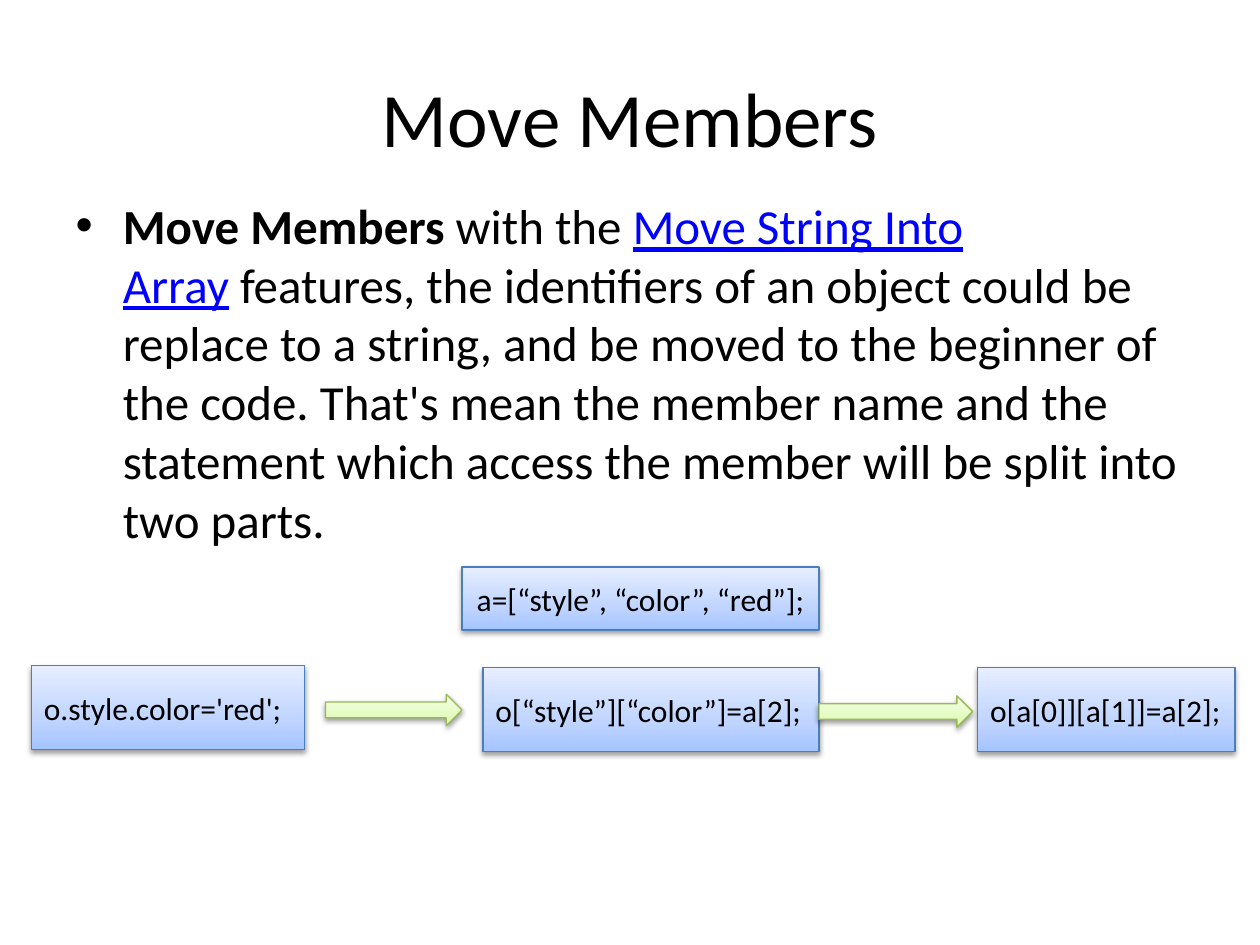
from copy import deepcopy
from dataclasses import dataclass
from typing import Optional

from lxml import etree
from pptx import Presentation
from pptx.dml.color import RGBColor
from pptx.enum import shapes, text
from pptx.oxml import ns
from pptx.util import Pt


@dataclass(frozen=True)
class Look:
    stops: tuple[str, str, str]
    outline: str


@dataclass(frozen=True)
class Theme:
    font: str = "Calibri"
    ink: str = "000000"
    link: str = "0000FF"
    title_size: float = 44
    body_size: float = 28
    code_size: float = 18
    outline_width: float = 0.75
    code: Look = Look(("A4C4FF", "BFD4FF", "E6EEFF"), "4B7EBC")
    arrow: Look = Look(("DAFDA7", "E4FCC2", "F5FFE7"), "98B955")


@dataclass(frozen=True)
class Step:
    left: float
    top: float
    width: float
    height: float
    code: str = ""
    centred: bool = False


@dataclass(frozen=True)
class Phrase:
    words: str
    bold: bool = False
    linked: bool = False


THEME = Theme()
STOP_POSITIONS = (0, 0.35, 1)
HARD_SPACE = chr(160)

STEPS = (
    Step(18, 380.3, 156, 48, "o.style.color='red';"),
    Step(558.7, 381.6, 147, 48, "o[a[0]][a[1]]=a[2];"),
    Step(276, 381.6, 192, 48, "o[“style”][“color”]=a[2];"),
    Step(264, 324, 204, 36, "a=[“style”, “color”, “red”];", centred=True),
)
ARROWS = (
    Step(186, 396.7, 78, 18),
    Step(468, 397.6, 87.8, 18),
)
EXPLANATION = (
    Phrase("Move Members ", bold=True),
    Phrase(f"with the{HARD_SPACE}"),
    Phrase("Move String Into Array", linked=True),
    Phrase(
        f"{HARD_SPACE}features, the identifiers of an object could be replace to a string, "
        "and be moved to the beginner of the code. That's mean the member name "
        "and the statement which access the member will be split into two parts."
    ),
)


def style_run(run, size: float, color: str = THEME.ink, bold: Optional[bool] = None) -> None:
    run.font.name = THEME.font
    run.font.size = Pt(size)
    run.font.color.rgb = RGBColor.from_string(color)
    run.font.bold = bold


def place(shape, left: float, top: float, width: float, height: float) -> None:
    shape.left, shape.top = Pt(left), Pt(top)
    shape.width, shape.height = Pt(width), Pt(height)


def add_shadow(shape) -> None:
    shape.shadow.inherit = False
    effects = shape._element.spPr.find(ns.qn("a:effectLst"))
    outer = etree.SubElement(
        effects,
        ns.qn("a:outerShdw"),
        blurRad=str(Pt(3.1)),
        dist=str(Pt(1.6)),
        dir="5400000",
        rotWithShape="0",
    )
    black = etree.SubElement(outer, ns.qn("a:srgbClr"), val="000000")
    etree.SubElement(black, ns.qn("a:alpha"), val="38000")


def apply_look(shape, look: Look) -> None:
    shape.fill.gradient()
    shape.fill.gradient_angle = 90
    stop_list = shape._element.spPr.find(".//" + ns.qn("a:gsLst"))
    stop_list.append(deepcopy(stop_list[-1]))
    for stop, color, position in zip(shape.fill.gradient_stops, look.stops, STOP_POSITIONS):
        stop.color.rgb = RGBColor.from_string(color)
        stop.position = position
    shape.line.color.rgb = RGBColor.from_string(look.outline)
    shape.line.width = Pt(THEME.outline_width)
    add_shadow(shape)


def add_step(slide, step: Step, kind: shapes.MSO_SHAPE, look: Look) -> None:
    shape = slide.shapes.add_shape(
        kind, Pt(step.left), Pt(step.top), Pt(step.width), Pt(step.height)
    )
    apply_look(shape, look)
    if step.code:
        frame = shape.text_frame
        frame.text = step.code
        frame.word_wrap = True
        frame.vertical_anchor = text.MSO_ANCHOR.MIDDLE
        line = frame.paragraphs[0]
        line.alignment = text.PP_ALIGN.CENTER if step.centred else text.PP_ALIGN.LEFT
        style_run(line.runs[0], THEME.code_size)


def fill_title(title) -> None:
    place(title, 36, 21.6, 648, 90)
    title.text_frame.text = "Move Members"
    style_run(title.text_frame.paragraphs[0].runs[0], THEME.title_size)


def fill_explanation(body) -> None:
    place(body, 36, 108, 648, 374.4)
    paragraph = body.text_frame.paragraphs[0]
    for phrase in EXPLANATION:
        run = paragraph.add_run()
        run.text = phrase.words
        style_run(run, THEME.body_size, THEME.link if phrase.linked else THEME.ink, phrase.bold)
        run.font.underline = phrase.linked


def main() -> None:
    deck = Presentation()
    deck.slide_width, deck.slide_height = Pt(720), Pt(540)
    slide = deck.slides.add_slide(deck.slide_layouts[1])
    fill_title(slide.shapes.title)
    fill_explanation(slide.placeholders[1])
    for step in STEPS:
        add_step(slide, step, shapes.MSO_SHAPE.RECTANGLE, THEME.code)
    for arrow in ARROWS:
        add_step(slide, arrow, shapes.MSO_SHAPE.RIGHT_ARROW, THEME.arrow)
    deck.save("out.pptx")


if __name__ == "__main__":
    main()
